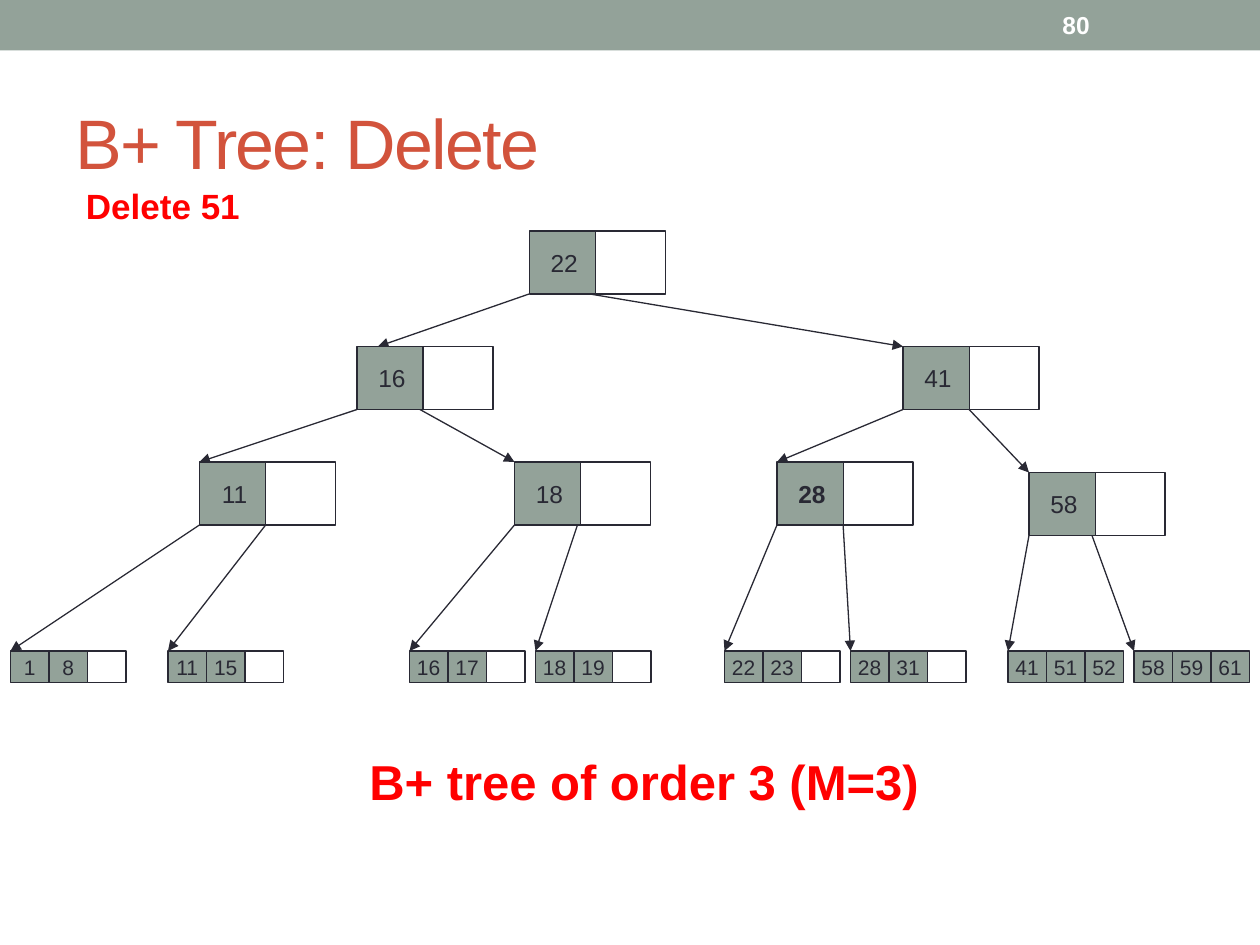
from dataclasses import dataclass

from lxml import etree
from pptx import Presentation
from pptx.dml.color import RGBColor
from pptx.enum.shapes import MSO_CONNECTOR, MSO_SHAPE
from pptx.enum.text import MSO_ANCHOR, MSO_AUTO_SIZE, PP_ALIGN
from pptx.oxml.ns import qn
from pptx.util import Pt

RECT = MSO_SHAPE.RECTANGLE
STRAIGHT = MSO_CONNECTOR.STRAIGHT
MIDDLE, TOP = MSO_ANCHOR.MIDDLE, MSO_ANCHOR.TOP
CENTER = PP_ALIGN.CENTER
GROW = MSO_AUTO_SIZE.SHAPE_TO_FIT_TEXT


@dataclass(frozen=True)
class Theme:
    font: str = "Arial"
    sage: RGBColor = RGBColor(0x93, 0xA2, 0x99)
    white: RGBColor = RGBColor(0xFF, 0xFF, 0xFF)
    ink: RGBColor = RGBColor(0x29, 0x29, 0x34)
    title: RGBColor = RGBColor(0xD2, 0x53, 0x3C)
    red: RGBColor = RGBColor(0xFF, 0x00, 0x00)
    title_size: int = 40
    caption_size: int = 28
    step_size: int = 20
    key_size: int = 14
    leaf_size: int = 12
    line: float = 0.75


T = Theme()


@dataclass(frozen=True)
class Cells:
    width: float
    pitch: float
    height: float
    size: int
    count: int


INNER = Cells(40, 37.8, 36, T.key_size, 2)
LEAF = Cells(22, 22, 18, T.leaf_size, 3)


@dataclass(frozen=True)
class Node:
    keys: tuple
    x: float
    y: float
    children: tuple = ()
    exits: tuple = (0, 36)
    entry: float = 0
    bold: bool = False


def leaf(x, *keys):
    return Node(keys, x, 240)


TREE = Node((22,), 296.4, 0, (
    Node((16,), 198, 66, (
        Node((11,), 108, 132, (leaf(0, 1, 8), leaf(90, 11, 15)), (0, 37.8)),
        Node((18,), 288, 132, (leaf(228, 16, 17), leaf(300, 18, 19))),
    ), entry=12),
    Node((41,), 510, 66, (
        Node((28,), 438, 132, (leaf(408, 22, 23), leaf(480, 28, 31)),
             (0, 37.8), bold=True),
        Node((58,), 582, 138, (leaf(570, 41, 51, 52), leaf(642, 58, 59, 61))),
    ), (0, 37.8)),
), (0, 34.5))


def style_text(tf, text, size, color, bold=False):
    tf.text = text
    r = tf.paragraphs[0].runs[0]
    r.font.name = T.font
    r.font.size = Pt(size)
    r.font.bold = bold
    r.font.color.rgb = color
    return r


def add_rect(shapes, x, y, w, h, fill):
    sp = shapes.add_shape(RECT, Pt(x), Pt(y), Pt(w), Pt(h))
    sp.shadow.inherit = False
    sp.fill.solid()
    sp.fill.fore_color.rgb = fill
    return sp


def add_label(s, box, text, size, color, bold=True, wrap=False, anchor=TOP):
    tf = s.shapes.add_textbox(*map(Pt, box)).text_frame
    tf.word_wrap = wrap
    tf.vertical_anchor = anchor
    if not wrap:
        tf.auto_size = GROW
    return style_text(tf, text, size, color, bold)


def add_header(s, box):
    x, y, w, h = box
    bar = add_rect(s.shapes, x, y, w, h, T.sage)
    bar.line.fill.background()
    add_label(s, (x + 600, y + 1.4, 84, 26), "80", T.key_size, T.white,
              wrap=True, anchor=MIDDLE)


def add_title(s, box):
    x, y, w, h = box
    r = add_label(s, box, "B+ Tree: Delete", T.title_size, T.title,
                  bold=False, wrap=True, anchor=MIDDLE)
    r.font._element.set("spc", "-100")
    add_label(s, (x + 6, y + 60, 108.7, 31.5), "Delete 51", T.step_size, T.red)


def add_arrow(s, x1, y1, x2, y2):
    cn = s.shapes.add_connector(STRAIGHT, Pt(x1), Pt(y1), Pt(x2), Pt(y2))
    cn.line.color.rgb = T.ink
    cn.line.width = Pt(T.line)
    tail = etree.SubElement(cn.line._get_or_add_ln(), qn("a:tailEnd"))
    tail.set("type", "triangle")
    etree.SubElement(cn._element.spPr, qn("a:effectLst"))


def add_node(s, node, x, y, cells):
    shapes = s.shapes.add_group_shape().shapes
    for i in range(cells.count):
        filled = i < len(node.keys)
        sp = add_rect(shapes, x + i * cells.pitch, y, cells.width,
                      cells.height, T.sage if filled else T.white)
        sp.line.color.rgb = T.ink
        sp.line.width = Pt(T.line)
        if filled:
            tf = sp.text_frame
            tf.word_wrap = False
            tf.vertical_anchor = MIDDLE
            style_text(tf, str(node.keys[i]), cells.size, T.ink, node.bold)
            tf.paragraphs[0].alignment = CENTER


def add_tree(s, box, node):
    left, top = box[:2]
    x, y = left + node.x, top + node.y
    cells = INNER if node.children else LEAF
    for child, offset in zip(node.children, node.exits):
        add_arrow(s, x + offset, y + cells.height,
                  left + child.x + child.entry, top + child.y)
    add_node(s, node, x, y, cells)
    for child in node.children:
        add_tree(s, box, child)


def main():
    prs = Presentation()
    prs.slide_width, prs.slide_height = Pt(720), Pt(540)
    s = prs.slides.add_slide(prs.slide_layouts[6])
    add_header(s, (0, 0, 720, 28.8))
    add_title(s, (36, 42, 648, 78))
    add_tree(s, (6, 132, 708, 258), TREE)
    add_label(s, (204, 426, 355, 41), "B+ tree of order 3 (M=3)",
              T.caption_size, T.red)
    prs.save("out.pptx")


if __name__ == "__main__":
    main()
